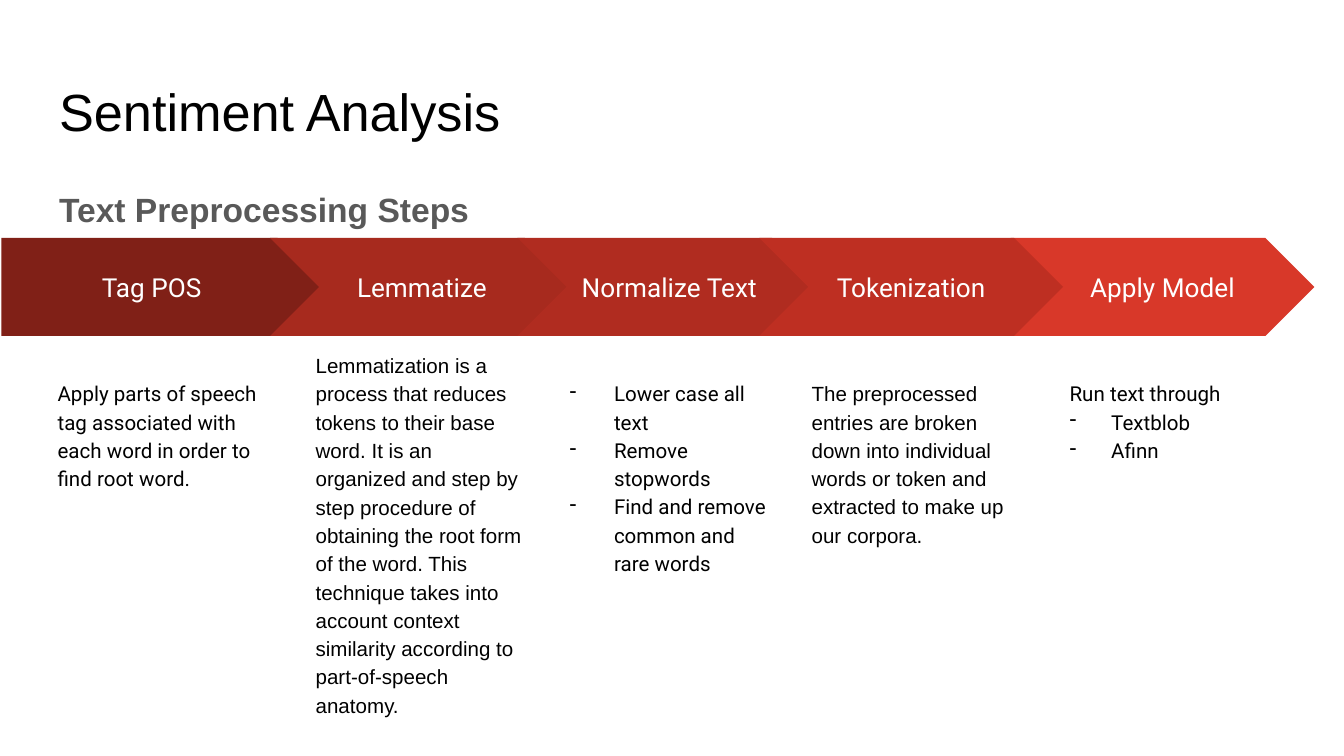
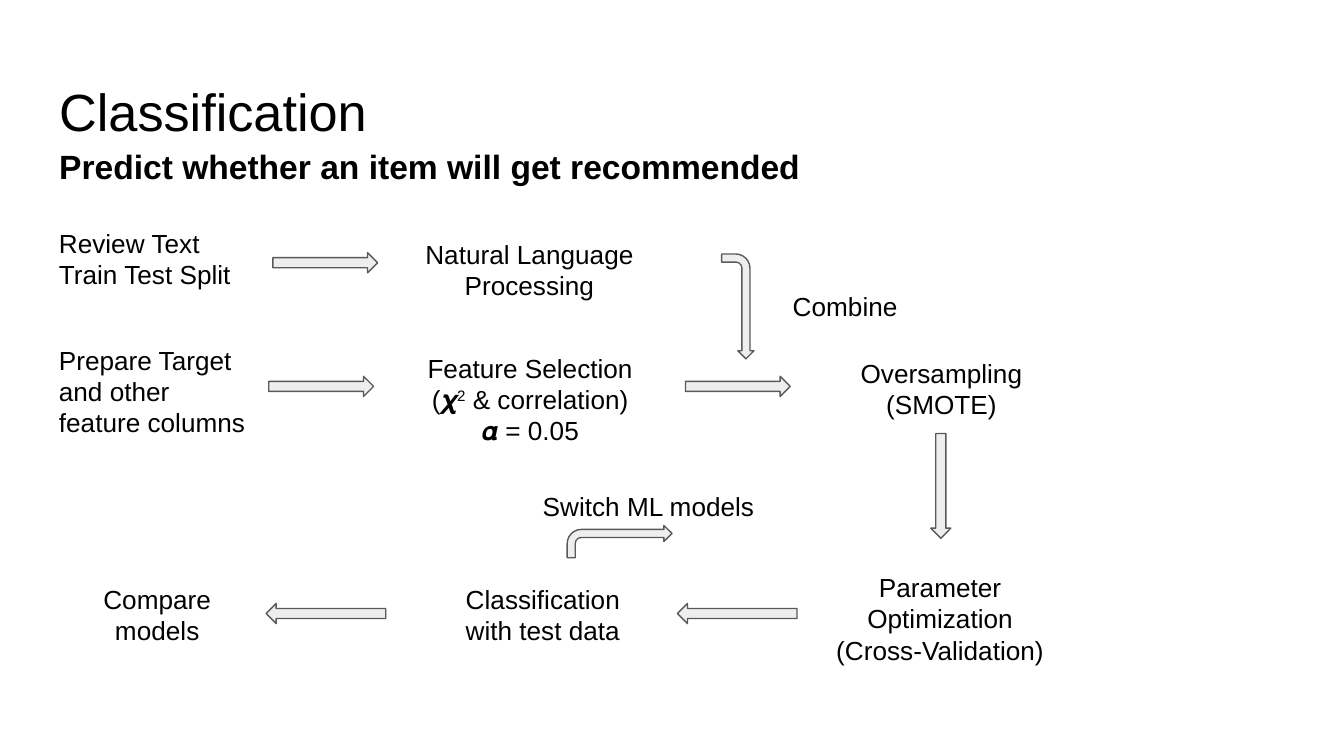
from collections import namedtuple

from lxml import etree
from pptx import Presentation
from pptx import util as u
from pptx.dml.color import RGBColor
from pptx.enum import shapes, text
from pptx.oxml import ns

CELL = 0.1  # inches; the slide is a grid of 100 columns and 56.25 rows
COLUMNS, ROWS = 100, 56.25
SANS, ROBOTO = "Arial", "Roboto"

BLACK = RGBColor(0x00, 0x00, 0x00)
WHITE = RGBColor(0xFF, 0xFF, 0xFF)
GREY = RGBColor(0x59, 0x59, 0x59)
PALE = RGBColor(0xEE, 0xEE, 0xEE)
MAROON = RGBColor(0x80, 0x20, 0x17)
BRICK = RGBColor(0xA7, 0x2A, 0x1E)
RUST = RGBColor(0xB0, 0x2C, 0x20)
CRIMSON = RGBColor(0xBE, 0x2F, 0x22)
SCARLET = RGBColor(0xD8, 0x38, 0x29)

LEFT, CENTER = text.PP_ALIGN.LEFT, text.PP_ALIGN.CENTER
TOP, MIDDLE = text.MSO_ANCHOR.TOP, text.MSO_ANCHOR.MIDDLE
PRESET = shapes.MSO_SHAPE


class Box(namedtuple("Box", "column row width height")):
    """A rectangle measured in grid cells."""

    def inner(self, column, row, width, height):
        return Box(self.column + column, self.row + row, width, height)

    def lengths(self):
        return [u.Inches(cells * CELL) for cells in self]


PAGE = Box(0, 0, COLUMNS, ROWS)

Step = namedtuple("Step", "name preset colour column width note_column note_row "
                          "font lines bullets margin", defaults=[(), 0])
# Listed from back to front, so each tip lies over the arrow behind it.
STEPS = [
    Step("Tag POS", PRESET.PENTAGON, MAROON, 0.1, 24.2, 3.3, 9.4, ROBOTO,
         ["Apply parts of speech tag associated with each word in order to find root word."]),
    Step("Lemmatize", PRESET.CHEVRON, BRICK, 20.1, 22.6, 22.5, 7.3, SANS,
         ["Lemmatization is a process that reduces tokens to their base word. It is an "
          "organized and step by step procedure of obtaining the root form of the word. "
          "This technique takes into account context similarity according to "
          "part-of-speech anatomy."]),
    Step("Normalize Text", PRESET.CHEVRON, RUST, 38.5, 22.6, 40.9, 9.4, ROBOTO, [],
         ["Lower case all text", "Remove stopwords",
          "Find and remove common and rare words"], 0.38),
    Step("Apply Model", PRESET.CHEVRON, SCARLET, 75.2, 22.6, 78.6, 9.4, ROBOTO,
         ["Run text through"], ["Textblob", "Afinn"], 0.31),
    Step("Tokenization", PRESET.CHEVRON, CRIMSON, 56.5, 22.6, 59.4, 9.4, SANS,
         ["The preprocessed entries are broken down into individual words or token "
          "and extracted to make up our corpora."]),
]

# Column, row, width, height, alignment, lines; a tuple is (base, superscript, rest).
FLOW_LABELS = [
    (3.4, 0.9, 16.6, 5.7, LEFT, ["Review Text", "Train Test Split"]),
    (30.1, 1.7, 18.6, 4.1, CENTER, ["Natural Language Processing"]),
    (3.4, 9.6, 16.6, 8.1, LEFT, ["Prepare Target and other feature columns"]),
    (30.5, 10.2, 17.9, 7, CENTER,
     ["Feature Selection", ("(𝝌", "2", " & correlation)"), "𝜶 = 0.05"]),
    (62.4, 10.6, 15.3, 6.3, CENTER, ["Oversampling", "(SMOTE)"]),
    (58, 5.6, 11.5, 4.1, LEFT, ["Combine"]),
    (61, 26.5, 17.9, 8.1, CENTER, ["Parameter Optimization", "(Cross-Validation)"]),
    (32.1, 27.4, 16.6, 6.3, CENTER, ["Classification with test data"]),
    (5.4, 27.4, 12.6, 7, CENTER, ["Compare models"]),
    (39.4, 20.5, 18.6, 3.7, LEFT, ["Switch ML models"]),
]

# Preset, column, row, length, thickness, rotation
FLOW_ARROWS = [
    (PRESET.RIGHT_ARROW, 20.3, 3.8, 7.8, 1.5, 0),
    (PRESET.RIGHT_ARROW, 20, 13, 7.8, 1.5, 0),
    (PRESET.RIGHT_ARROW, 51, 13, 7.8, 1.5, 0),
    (PRESET.BENT_ARROW, 51, 6.6, 7.8, 2.4, 90),
    (PRESET.RIGHT_ARROW, 66.1, 20.4, 7.8, 1.5, 90),
    (PRESET.LEFT_ARROW, 50.4, 29.9, 8.9, 1.5, 0),
    (PRESET.LEFT_ARROW, 19.8, 29.9, 8.9, 1.5, 0),
    (PRESET.BENT_ARROW, 42.2, 24.1, 7.8, 2.4, 0),
]


def set_bullet(paragraph, margin=0, indent=0, mark=None):
    """Set indents in inches and a bullet mark, or no bullet."""
    properties = paragraph._p.get_or_add_pPr()
    properties.set("marL", str(u.Inches(margin)))
    properties.set("indent", str(u.Inches(indent)))
    if mark:
        etree.SubElement(properties, ns.qn("a:buChar")).set("char", mark)
    else:
        etree.SubElement(properties, ns.qn("a:buNone"))


def format_paragraph(paragraph, size, font=SANS, colour=BLACK, bold=False,
                     align=LEFT, spacing=1.0):
    paragraph.alignment = align
    paragraph.line_spacing = spacing
    paragraph.space_before = u.Pt(0)
    paragraph.font.size = u.Pt(size)
    paragraph.font.name = font
    paragraph.font.bold = bold
    paragraph.font.color.rgb = colour


def prepare_frame(shape, anchor=TOP):
    frame = shape.text_frame
    frame.word_wrap = True
    frame.auto_size = text.MSO_AUTO_SIZE.NONE
    frame.vertical_anchor = anchor
    frame.margin_left = frame.margin_right = u.Inches(0.1)
    frame.margin_top = frame.margin_bottom = u.Inches(0.1)
    return frame


def add_paragraphs(frame, count):
    return [frame.paragraphs[0]] + [frame.add_paragraph() for _ in range(count - 1)]


def fill_placeholder(placeholder, box, words, **style):
    placeholder.left, placeholder.top, placeholder.width, placeholder.height = box.lengths()
    frame = prepare_frame(placeholder)
    frame.text = words
    set_bullet(frame.paragraphs[0])
    format_paragraph(frame.paragraphs[0], **style)


def add_titled_slide(presentation, title, subtitle, subtitle_row, subtitle_colour):
    slide = presentation.slides.add_slide(presentation.slide_layouts[1])
    heading, body = slide.placeholders
    fill_placeholder(heading, PAGE.inner(3.4, 4.9, 93.2, 6.3), title, size=28)
    fill_placeholder(body, PAGE.inner(3.4, subtitle_row, 93.2, 37.4), subtitle,
                     size=18, colour=subtitle_colour, bold=True, spacing=1.15)
    return slide


def add_plain_shape(parent, preset, box, fill):
    shape = parent.add_shape(preset, *box.lengths())
    shape.shadow.inherit = False
    shape.fill.solid()
    shape.fill.fore_color.rgb = fill
    shape.line.fill.background()
    return shape


def add_step(slide, region, step):
    """Group a step's arrow with the note below it."""
    group = slide.shapes.add_group_shape().shapes
    arrow = add_plain_shape(group, step.preset,
                            region.inner(step.column, 0, step.width, 7.3), step.colour)
    frame = prepare_frame(arrow, MIDDLE)
    frame.text = step.name
    format_paragraph(frame.paragraphs[0], 14, ROBOTO, WHITE, align=CENTER)

    note_box = region.inner(step.note_column, step.note_row, 17.8, 25.7)
    note = prepare_frame(group.add_textbox(*note_box.lengths()))
    lines = [*step.lines, *step.bullets]
    for index, paragraph in enumerate(add_paragraphs(note, len(lines))):
        paragraph.text = lines[index]
        if index >= len(step.lines):
            set_bullet(paragraph, step.margin, -0.33, "-")
        format_paragraph(paragraph, 11, step.font, spacing=1.15)


def add_flow_label(slide, box, align, lines):
    frame = prepare_frame(slide.shapes.add_textbox(*box.lengths()))
    for paragraph, line in zip(add_paragraphs(frame, len(lines)), lines):
        parts = (line,) if isinstance(line, str) else line
        for index, part in enumerate(parts):
            run = paragraph.add_run()
            run.text = part
            if index == 1:
                run._r.get_or_add_rPr().set("baseline", "30000")
        format_paragraph(paragraph, 14, align=align)


def add_flow_arrow(slide, preset, box, rotation):
    arrow = add_plain_shape(slide.shapes, preset, box, PALE)
    arrow.line.color.rgb = GREY
    arrow.line.width = u.Pt(0.75)
    arrow.rotation = rotation


def build_sentiment_slide(presentation):
    slide = add_titled_slide(presentation, "Sentiment Analysis",
                             "Text Preprocessing Steps", 12.6, GREY)
    region = PAGE.inner(0, 17.7, COLUMNS, 35.1)
    for step in STEPS:
        add_step(slide, region, step)


def build_classification_slide(presentation):
    slide = add_titled_slide(presentation, "Classification",
                             "Predict whether an item will get recommended", 9.4, BLACK)
    region = PAGE.inner(0, 15, COLUMNS, 35)
    for *place, align, lines in FLOW_LABELS:
        add_flow_label(slide, region.inner(*place), align, lines)
    for preset, *place, rotation in FLOW_ARROWS:
        add_flow_arrow(slide, preset, region.inner(*place), rotation)


def main():
    presentation = Presentation()
    presentation.slide_width = u.Inches(COLUMNS * CELL)
    presentation.slide_height = u.Inches(ROWS * CELL)
    build_sentiment_slide(presentation)
    build_classification_slide(presentation)
    presentation.save("out.pptx")


if __name__ == "__main__":
    main()
